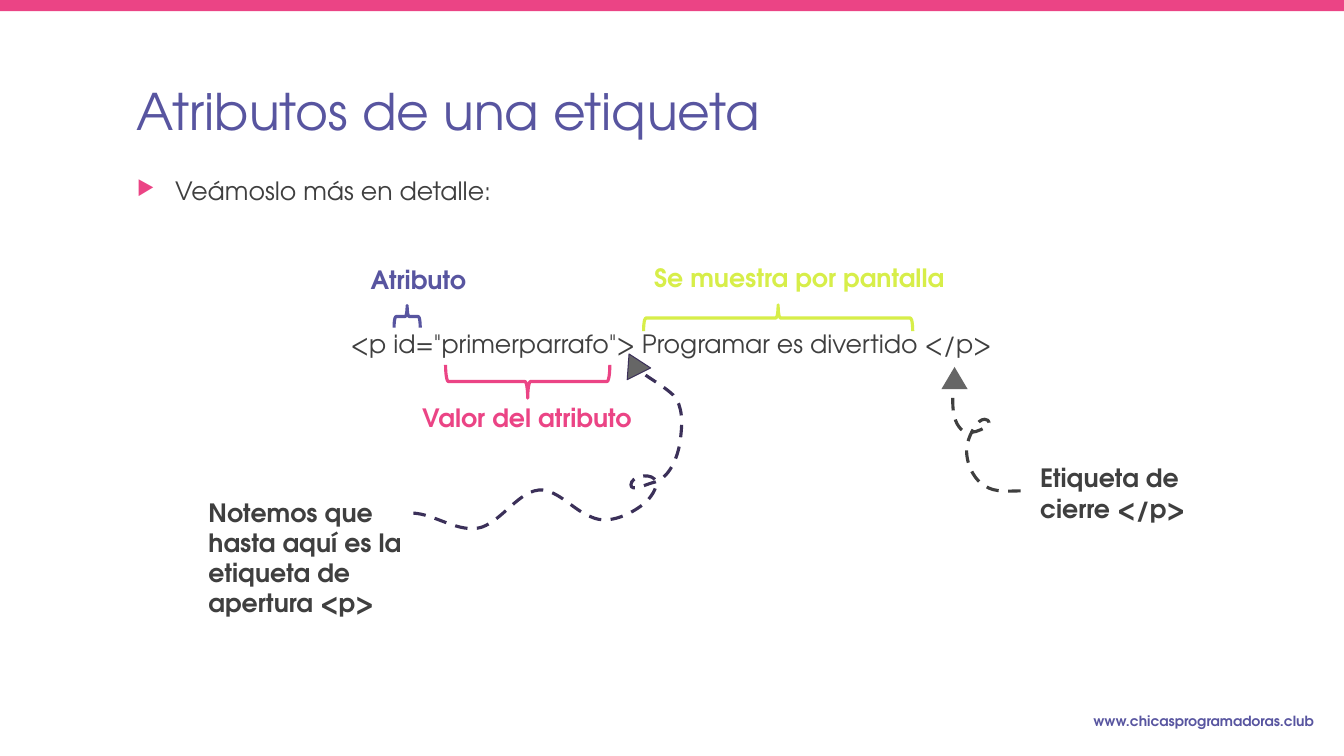
import pptx
import pptx.dml.color
import pptx.enum.dml
import pptx.enum.shapes
import pptx.enum.text
import pptx.util
import lxml.etree

SHAPES = pptx.enum.shapes.MSO_SHAPE
ALIGN = pptx.enum.text.PP_ALIGN
ANCHOR = pptx.enum.text.MSO_ANCHOR
DRAWING = "{http://schemas.openxmlformats.org/drawingml/2006/main}"
FONT = "TeX Gyre Adventor"
PINK, PURPLE, LIME = "EB4485", "5855A0", "D7EE49"
INK, GREY, NIGHT = "3F3F3F", "666666", "3B3059"
COLUMNS, ROWS = 160, 90
LABEL_MARGIN = 0.1

deck = pptx.Presentation()
deck.slide_width = pptx.util.Inches(40 / 3)
deck.slide_height = pptx.util.Inches(7.5)
CELL = deck.slide_width / COLUMNS
page = deck.slides.add_slide(deck.slide_layouts[6])


def color(value):
    return pptx.dml.color.RGBColor.from_string(value)


def emu(lengths):
    return [round(length * CELL) for length in lengths]


def within(box, left, top, width, height):
    return box[0] + left, box[1] + top, width, height


def paint(shape, fill=None, line=None, weight=2.25, dashed=False):
    shape.shadow.inherit = False
    if fill:
        shape.fill.solid()
        shape.fill.fore_color.rgb = color(fill)
    else:
        shape.fill.background()
    if line:
        shape.line.color.rgb = color(line)
        shape.line.width = pptx.util.Pt(weight)
    else:
        shape.line.fill.background()
    if dashed:
        shape.line.dash_style = pptx.enum.dml.MSO_LINE.DASH


def add_bullet(para, symbol, tint, indent):
    properties = para._p.get_or_add_pPr()
    properties.set("marL", str(pptx.util.Inches(indent)))
    properties.set("indent", str(-pptx.util.Inches(indent)))
    holder = lxml.etree.SubElement(properties, DRAWING + "buClr")
    lxml.etree.SubElement(holder, DRAWING + "srgbClr", val=tint)
    lxml.etree.SubElement(properties, DRAWING + "buSzPct", val="80000")
    lxml.etree.SubElement(properties, DRAWING + "buChar", char=symbol)


def add_frame(box, anchor=ANCHOR.MIDDLE, margin=0.05):
    frame = page.shapes.add_textbox(*emu(box)).text_frame
    frame.word_wrap = True
    frame.vertical_anchor = anchor
    frame.margin_top = frame.margin_bottom = pptx.util.Inches(margin)
    return frame


def write(para, text, size=18, tint=INK, bold=False, align=ALIGN.LEFT):
    para.alignment = align
    span = para.add_run()
    span.text = text
    span.font.name = FONT
    span.font.size = pptx.util.Pt(size)
    span.font.bold = bold
    span.font.color.rgb = color(tint)


def add_label(box, text, tint=INK):
    frame = add_frame(box, margin=LABEL_MARGIN)
    write(frame.paragraphs[0], text, tint=tint, bold=True)


def add_brace(box, tint, rotation):
    left, top, width, height = box
    shift = (width - height) / 2
    brace = page.shapes.add_shape(
        SHAPES.RIGHT_BRACE, *emu((left + shift, top - shift, height, width)))
    brace.adjustments[0] = 0.083
    brace.rotation = rotation
    paint(brace, line=tint)


def add_curve(box, points, tint):
    spots = [emu((box[0] + x, box[1] + y)) for x, y in points]
    knots = spots[::3]
    builder = page.shapes.build_freeform(*knots[0])
    builder.add_line_segments(knots[1:], close=False)
    curve = builder.convert_to_shape()
    segments = list(curve._element.iter(DRAWING + "lnTo"))
    for number, segment in enumerate(segments):
        segment.tag = DRAWING + "cubicBezTo"
        segment.clear()
        for x, y in spots[3 * number + 1:3 * number + 4]:
            lxml.etree.SubElement(segment, DRAWING + "pt",
                                  x=str(x - curve.left), y=str(y - curve.top))
    paint(curve, line=tint, dashed=True)


def draw_header(box):
    bar = page.shapes.add_shape(SHAPES.RECTANGLE, *emu(within(box, 0, 0, COLUMNS, 1.32)))
    paint(bar, fill=PINK)
    frame = add_frame(within(box, 15.12, 8.52, 114.96, 9.24))
    write(frame.paragraphs[0], "Atributos de una etiqueta", size=36, tint=PURPLE)


def draw_body(box):
    frame = add_frame(box, anchor=ANCHOR.TOP)
    intro = frame.paragraphs[0]
    add_bullet(intro, "▶", PINK, 0.38)
    write(intro, "Veámoslo más en detalle:")
    code = frame.add_paragraph()
    code.space_before = pptx.util.Pt(87.5)
    write(code, '<p id="primerparrafo"> Programar es divertido </p>', align=ALIGN.CENTER)


def draw_braces(box):
    parts = [
        ("Atributo", PURPLE, (27.84, 1, 15.12, 6.48), (31.8, 7.36, 3.12, 2.64), 270),
        ("Valor del atributo", PINK, (33.96, 17.44, 30.36, 6.48),
         (37.92, 14.44, 19.56, 3.96), 90),
        ("Se muestra por pantalla", LIME, (61.56, 0.76, 45.48, 6.48),
         (61.5, 7.3, 32.04, 3.12), 270),
    ]
    for text, tint, label, brace, rotation in parts:
        add_brace(within(box, *brace), tint, rotation)
        add_label(within(box, *label), text, tint)


def draw_callout(box, text, note, points, tint, head, rotation=0, outline=None):
    add_curve(box, points, tint)
    arrow = page.shapes.add_shape(
        SHAPES.ISOSCELES_TRIANGLE, *emu(within(box, *head, 3.12, 2.64)))
    arrow.rotation = rotation
    paint(arrow, fill=GREY, line=outline, weight=0.75)
    add_label(within(box, *note, 27.12, 6.48), text)


def draw_footer(box):
    write(add_frame(box).paragraphs[0], "www.chicasprogramadoras.club",
          size=10, tint=PURPLE, bold=True, align=ALIGN.RIGHT)


OPENING_CURVE = [
    (25.92, 0), (27.36, 1.68), (29.52, 2.52), (31.2, 4.08),
    (32.4, 5.4), (32.28, 7.56), (32.04, 9.36),
    (31.8, 11.4), (30.72, 14.16), (28.68, 14.52),
    (27.84, 14.76), (26.16, 15.6), (26.16, 14.76),
    (26.16, 13.8), (28.2, 13.32), (28.92, 14.04),
    (29.64, 14.64), (28.68, 16.08), (27.96, 16.8),
    (26.28, 18.24), (23.52, 19.56), (21.48, 18.6),
    (19.56, 17.88), (18.12, 16.08), (16.2, 15.48),
    (13.32, 14.64), (11.16, 18.84), (8.4, 19.8),
    (5.64, 20.64), (2.76, 18.12), (0, 18.12),
]
CLOSING_CURVE = [
    (0.24, 0), (0.24, 2.28), (-0.36, 5.28), (1.44, 6.6),
    (2.28, 7.2), (5.16, 5.88), (4.32, 5.28),
    (3.36, 4.68), (2.4, 6.48), (2.04, 7.56),
    (1.32, 9.36), (2.28, 12.12), (3.96, 13.08),
    (5.16, 13.92), (6.84, 13.68), (8.4, 13.68),
]


def main():
    draw_header((0, 0, COLUMNS, 18))
    draw_body((15.12, 20.28, 129.6, 9.24))
    draw_braces((15.12, 29, 129.6, 24))
    draw_callout((48.96, 42.96, 32.28, 20.04),
                 "Notemos que hasta aquí es la etiqueta de apertura <p>",
                 (-25.32, 20.16), OPENING_CURVE, NIGHT, (24.96, -0.96),
                 rotation=333.5, outline=NIGHT)
    draw_callout((113.28, 44.76, 8.4, 13.68), "Etiqueta de cierre </p>",
                 (9.36, 10.68), CLOSING_CURVE, INK, (-1.2, -1.08))
    draw_footer((106.92, 83.88, 50.64, 3.96))
    deck.save("out.pptx")


if __name__ == "__main__":
    main()
